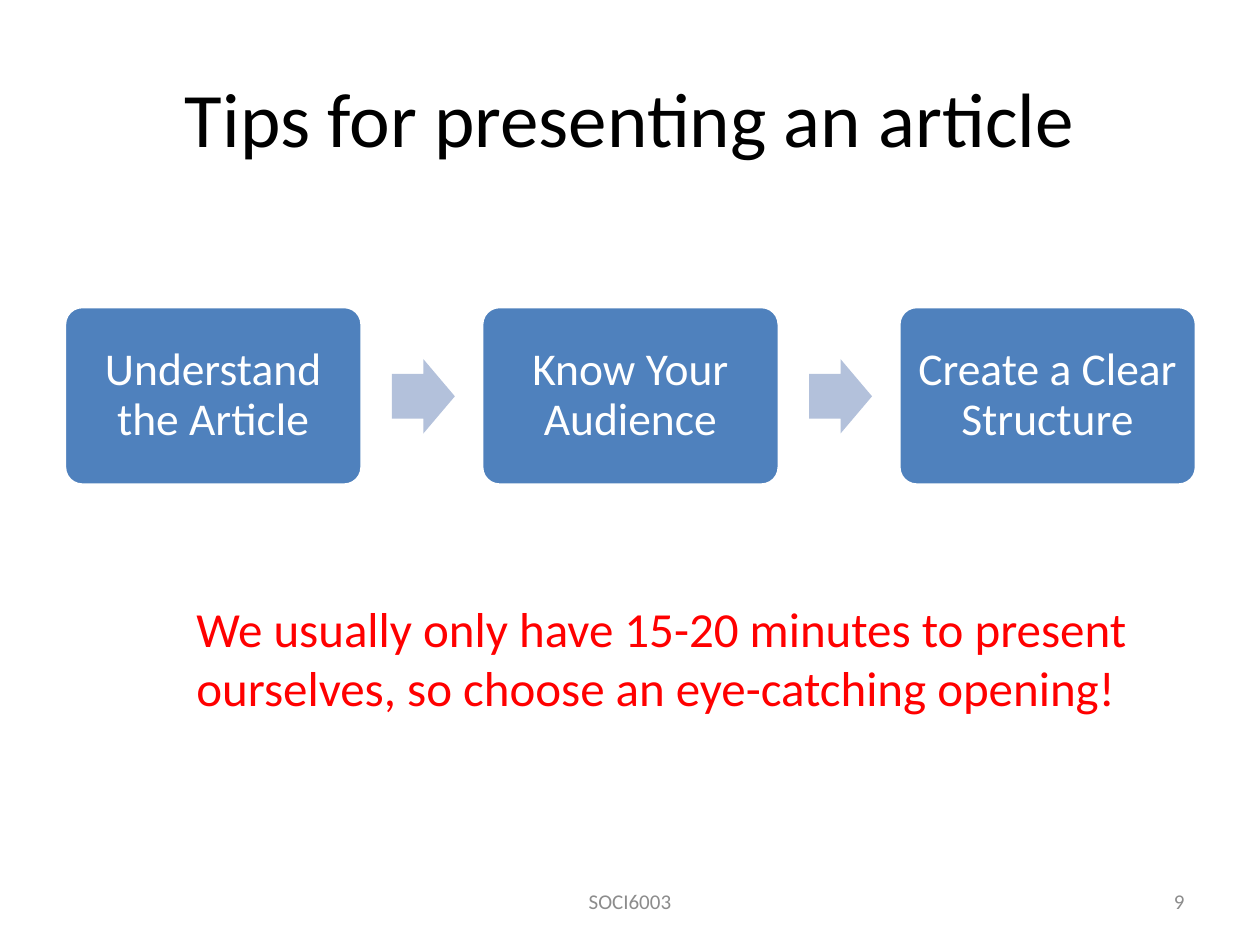
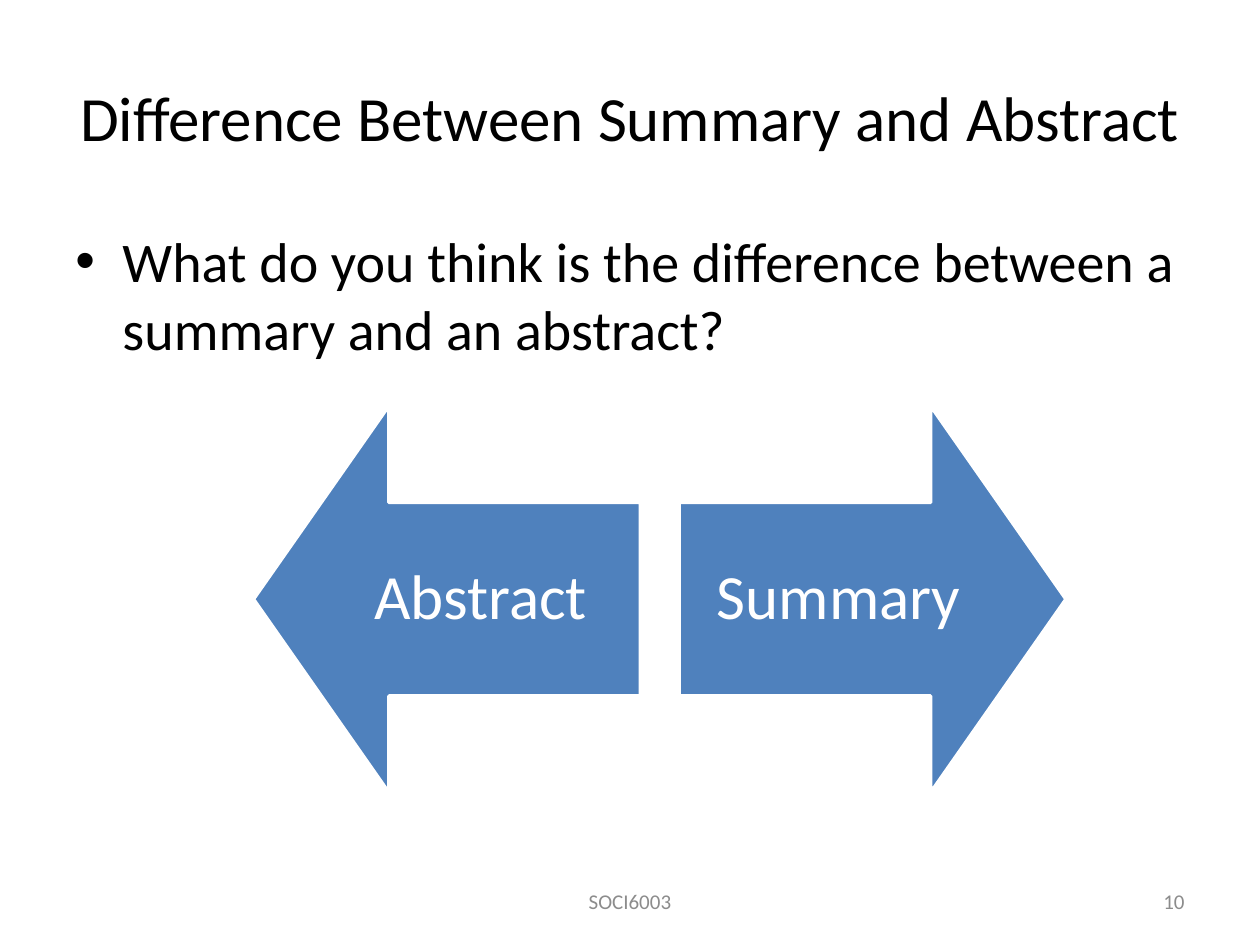
"""Build two SOCI6003 slides: presenting tips, and summary versus abstract."""
from dataclasses import dataclass

from lxml.etree import SubElement
from pptx import Presentation
from pptx.dml.color import RGBColor
from pptx.enum.shapes import MSO_SHAPE
from pptx.enum.text import MSO_ANCHOR, PP_ALIGN
from pptx.oxml.ns import qn
from pptx.util import Cm, Pt


@dataclass(frozen=True)
class Theme:
    font: str = "Calibri"
    ink: str = "000000"
    white: str = "FFFFFF"
    blue: str = "4F81BD"
    pale: str = "B3C1DB"
    red: str = "FF0000"
    grey: str = "8C8C8C"
    title: int = 44
    long_title: int = 36
    body: int = 32
    note: int = 28
    step: int = 26
    arrow: int = 36
    footer: int = 12


T = Theme()


def put_text(sp, text, size, color=T.ink, align=PP_ALIGN.LEFT, anchor=MSO_ANCHOR.MIDDLE,
             inset=None, spacing=None, bullet=False):
    tf = sp.text_frame
    tf.word_wrap = True
    tf.vertical_anchor = anchor
    if inset is not None:
        tf.margin_left = tf.margin_right = tf.margin_top = tf.margin_bottom = Cm(inset)
    p = tf.paragraphs[0]
    p.alignment = align
    if spacing:
        p.line_spacing = spacing
    if bullet:
        p.space_before = Pt(size * 0.2)
        pPr = p._p.get_or_add_pPr()
        pPr.set("marL", str(Cm(0.95)))
        pPr.set("indent", str(-Cm(0.95)))
        SubElement(pPr, qn("a:buFont")).set("typeface", "Arial")
        SubElement(pPr, qn("a:buChar")).set("char", "•")
    r = p.add_run()
    r.text = text
    r.font.name = T.font
    r.font.size = Pt(size)
    r.font.color.rgb = RGBColor.from_string(color)


def add_block(s, kind, box, fill, adj, outlined=True):
    sp = s.shapes.add_shape(kind, *map(Cm, box))
    sp.shadow.inherit = False
    sp.fill.solid()
    sp.fill.fore_color.rgb = RGBColor.from_string(fill)
    if outlined:
        sp.line.color.rgb = RGBColor.from_string(T.white)
        sp.line.width = Pt(2)
    else:
        sp.line.fill.background()
    for i, value in enumerate(adj):
        sp.adjustments[i] = value
    return sp


prs = Presentation()
prs.slide_width, prs.slide_height = Cm(25.4), Cm(19.05)

slides = []
for number, title, size in (
    (9, "Tips for presenting an article", T.title),
    (10, "Difference Between Summary and Abstract", T.long_title),
):
    s = prs.slides.add_slide(prs.slide_layouts[6])
    for box, text, sz, color, align in (
        ((1.27, 0.76, 22.86, 3.18), title, size, T.ink, PP_ALIGN.CENTER),
        ((8.68, 17.66, 8.04, 1.01), "SOCI6003", T.footer, T.grey, PP_ALIGN.CENTER),
        ((18.2, 17.66, 5.93, 1.01), str(number), T.footer, T.grey, PP_ALIGN.RIGHT),
    ):
        put_text(s.shapes.add_textbox(*map(Cm, box)), text, sz, color, align)
    slides.append(s)
tips, difference = slides

steps = ("Understand the Article", "Know Your Audience", "Create a Clear Structure")
pitch = 8.41
for i, step in enumerate(steps):
    if i:
        add_block(tips, MSO_SHAPE.RIGHT_ARROW, (7.9 + (i - 1) * pitch, 7.24, 1.27, 1.5),
                  T.pale, (0.6, 0.5), outlined=False)
    sp = add_block(tips, MSO_SHAPE.ROUNDED_RECTANGLE, (1.3 + i * pitch, 6.18, 6, 3.6),
                   T.blue, (0.1,))
    put_text(sp, step, T.step, T.white, PP_ALIGN.CENTER, inset=0.28, spacing=0.9)

note = tips.shapes.add_textbox(Cm(3.71), Cm(11.94), Cm(21), Cm(2.64))
put_text(note, "We usually only have 15-20 minutes to present ourselves, "
         "so choose an eye-catching opening!", T.note, T.red, anchor=MSO_ANCHOR.TOP)

question = difference.shapes.add_textbox(Cm(1.27), Cm(4.45), Cm(22.86), Cm(12.57))
put_text(question, "What do you think is the difference between a summary and an abstract?",
         T.body, anchor=MSO_ANCHOR.TOP, bullet=True)

for kind, left, label in (
    (MSO_SHAPE.LEFT_ARROW, 5.11, "Abstract"),
    (MSO_SHAPE.RIGHT_ARROW, 13.69, "Summary"),
):
    sp = add_block(difference, kind, (left, 8.18, 7.8, 7.8), T.blue, (0.5, 0.35))
    put_text(sp, label, T.arrow, T.white, PP_ALIGN.CENTER, inset=0.71, spacing=0.9)

prs.save("out.pptx")
